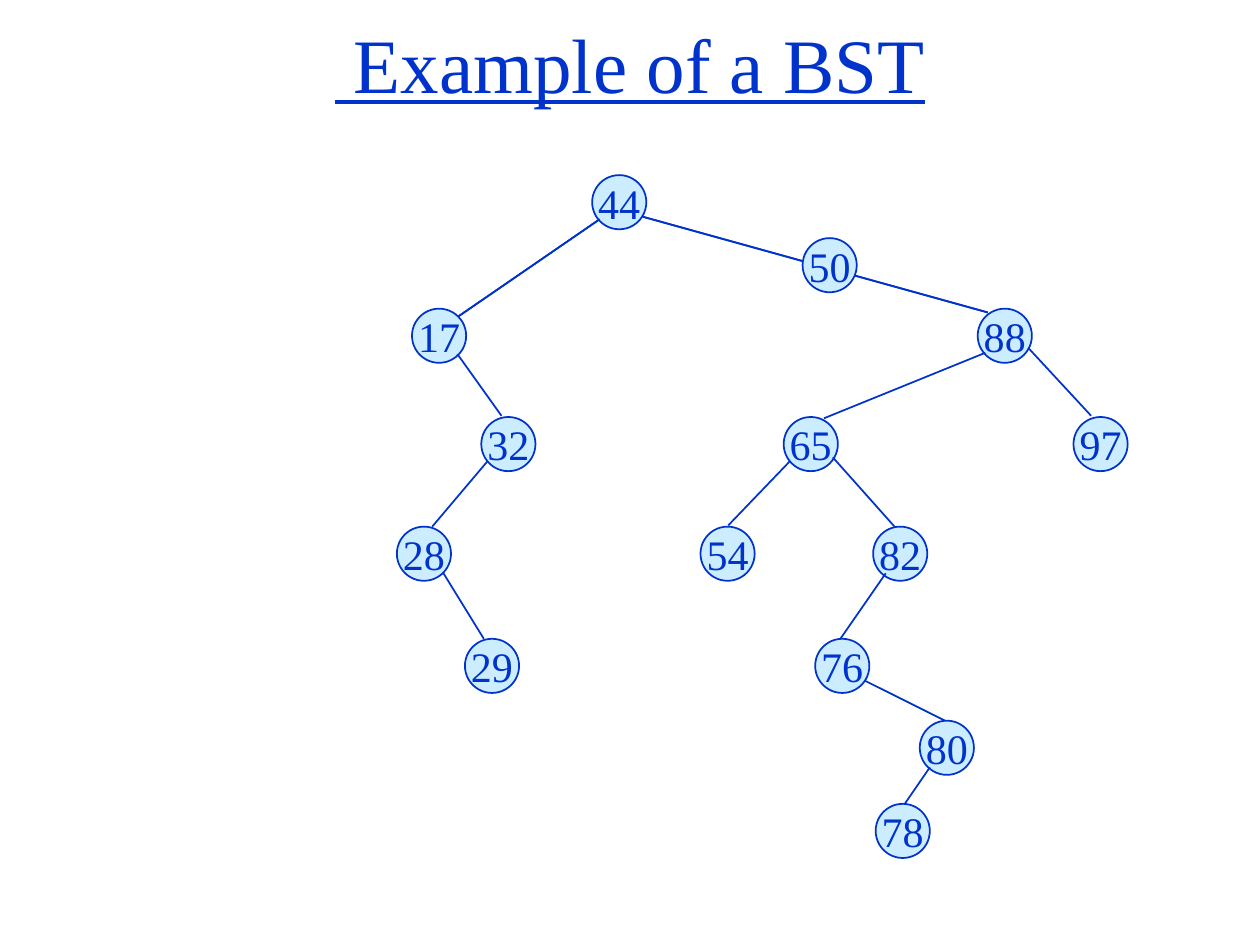
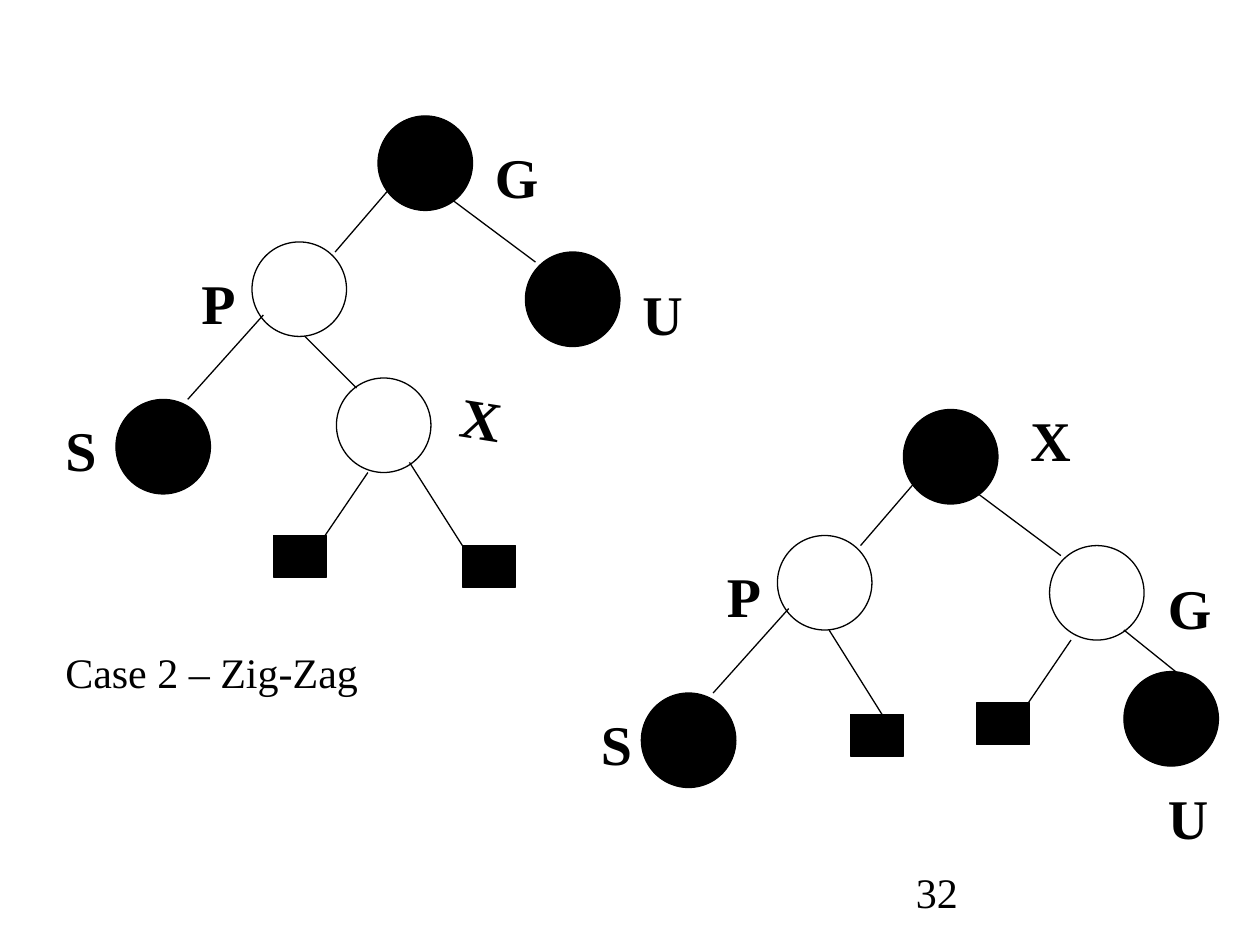
from lxml import etree
from pptx import Presentation
from pptx.dml.color import RGBColor
from pptx.enum.shapes import MSO_CONNECTOR as CONN, MSO_SHAPE as SHAPE
from pptx.enum.text import MSO_ANCHOR as ANCHOR, MSO_AUTO_SIZE as AUTO, PP_ALIGN as ALIGN
from pptx.oxml.ns import qn
from pptx.util import Emu, Pt

# Shared style: 100 px to the inch
SCALE = 9144
FONT = "Times New Roman"
BLUE = RGBColor(0x00, 0x33, 0xCC)
PALE = RGBColor(0xCC, 0xEC, 0xFF)
BLACK = RGBColor(0x00, 0x00, 0x00)
WHITE = RGBColor(0xFF, 0xFF, 0xFF)

KEY_SIZE = 43
CIRCLE_SIZE = 75
NIL_W, NIL_H = 42, 33

# Search tree: key, left, top
KEYS = [
    ("44", 470, 139), ("88", 776, 245), ("17", 327, 245), ("65", 622, 331),
    ("97", 852, 331), ("32", 382, 331), ("28", 315, 418), ("54", 556, 418),
    ("82", 693, 418), ("76", 647, 507), ("29", 369, 507), ("80", 730, 572),
    ("78", 695, 638), ("50", 637, 189),
]
# The edge from 44 to 88 runs behind 50
KEY_EDGES = [
    (476, 174, 364, 251), (510, 172, 784, 248), (363, 281, 398, 330),
    (387, 366, 343, 418), (352, 455, 384, 507), (782, 280, 654, 332),
    (816, 276, 866, 330), (627, 366, 578, 417), (661, 363, 710, 418),
    (703, 455, 667, 507), (686, 540, 750, 572), (738, 609, 716, 641),
]


def px(*lengths):
    return [Emu(n * SCALE) for n in lengths]


def write(tf, text, size, color, align=ALIGN.LEFT, before=0, **font):
    p = tf.paragraphs[0]
    p.alignment = align
    if before:
        p.space_before = Pt(before)
    r = p.add_run()
    r.text = text
    formats = {"name": FONT, "size": Pt(size), **font}
    for name, value in formats.items():
        setattr(r.font, name, value)
    r.font.color.rgb = color


def add_text(s, box, text, size, color=BLACK, anchor=ANCHOR.TOP, grow=False, **style):
    sp = s.shapes.add_textbox(*px(*box))
    tf = sp.text_frame
    formats = {"word_wrap": True, "vertical_anchor": anchor,
               "auto_size": AUTO.SHAPE_TO_FIT_TEXT if grow else AUTO.NONE}
    for name, value in formats.items():
        setattr(tf, name, value)
    write(tf, text, size, color, **style)
    return sp


def add_label(s, x, y, text, width=42):
    return add_text(s, (x, y, width, 64), text, 32, grow=True, before=20, bold=True)


def add_node(s, kind, box, fill, line=BLACK, weight=0.75):
    sp = s.shapes.add_shape(kind, *px(*box))
    sp.shadow.inherit = False
    sp.fill.solid()
    sp.fill.fore_color.rgb = fill
    sp.line.color.rgb = line
    sp.line.width = Pt(weight)
    return sp


def add_key(s, key, x, y):
    sp = add_node(s, SHAPE.OVAL, (x, y, KEY_SIZE, KEY_SIZE), PALE, BLUE, 1)
    tf = sp.text_frame
    tf.word_wrap = False
    tf.vertical_anchor = ANCHOR.MIDDLE
    write(tf, key, 24, BLUE, ALIGN.CENTER)


def add_circle(s, x, y, fill):
    add_node(s, SHAPE.OVAL, (x, y, CIRCLE_SIZE, CIRCLE_SIZE), fill)


def add_nil(s, x, y):
    add_node(s, SHAPE.RECTANGLE, (x, y, NIL_W, NIL_H), BLACK)


def add_edge(s, ends, color=BLACK, weight=0.75):
    c = s.shapes.add_connector(CONN.STRAIGHT, *px(*ends))
    c.line.color.rgb = color
    c.line.width = Pt(weight)
    etree.SubElement(c._element.spPr, qn("a:effectLst"))


def add_tree_core(s, dx, dy):
    """Root, its left child P and the leaf S, which both trees share."""
    for x, y, fill in [(300, 92, BLACK), (200, 192, WHITE), (92, 317, BLACK)]:
        add_circle(s, x + dx, y + dy, fill)
    for x1, y1, x2, y2 in [(309, 150, 266, 200), (358, 158, 425, 208),
                           (209, 250, 149, 317)]:
        add_edge(s, (x1 + dx, y1 + dy, x2 + dx, y2 + dy))
    add_label(s, 150 + dx, 208 + dy, "P")


def build_search_tree(s):
    add_text(s, (0, 0, 1000, 100), " Example of a BST", 44, BLUE,
             anchor=ANCHOR.MIDDLE, align=ALIGN.CENTER, underline=True)
    for ends in KEY_EDGES[:2]:
        add_edge(s, ends, BLUE, 1)
    for key in KEYS[:-2]:
        add_key(s, *key)
    for ends in KEY_EDGES:
        add_edge(s, ends, BLUE, 1)
    for key in KEYS[-2:]:
        add_key(s, *key)


def build_zig_zag(s):
    # Before the rotation
    add_tree_core(s, 0, 0)
    add_circle(s, 417, 200, BLACK)
    add_circle(s, 267, 300, WHITE)
    add_nil(s, 217, 425)
    add_nil(s, 367, 433)
    for ends in [(242, 267, 283, 308), (292, 375, 258, 425), (325, 367, 367, 433)]:
        add_edge(s, ends)
    add_label(s, 356, 300, "X", 55).rotation = 9
    add_label(s, 383, 108, "G", 58)
    add_label(s, 500, 217, "U")
    add_label(s, 42, 325, "S", 58)

    # After the rotation
    add_tree_core(s, 417, 233)
    add_circle(s, 833, 433, WHITE)
    add_circle(s, 892, 533, BLACK)
    add_nil(s, 775, 558)
    add_nil(s, 675, 567)
    for ends in [(892, 500, 933, 533), (850, 508, 816, 558), (658, 500, 700, 567)]:
        add_edge(s, ends)
    for x, y, text in [(808, 317, "X"), (917, 450, "G"), (467, 558, "S"), (917, 617, "U")]:
        add_label(s, x, y, text)

    # Caption and page number
    add_text(s, (42, 508, 400, 50), "Case 2 – Zig-Zag", 24, grow=True, before=15)
    add_text(s, (717, 683, 208, 50), "32", 24)


def main():
    prs = Presentation()
    prs.slide_width, prs.slide_height = px(1000, 750)
    blank = prs.slide_layouts[6]
    for build in (build_search_tree, build_zig_zag):
        build(prs.slides.add_slide(blank))
    prs.save("out.pptx")


if __name__ == "__main__":
    main()
